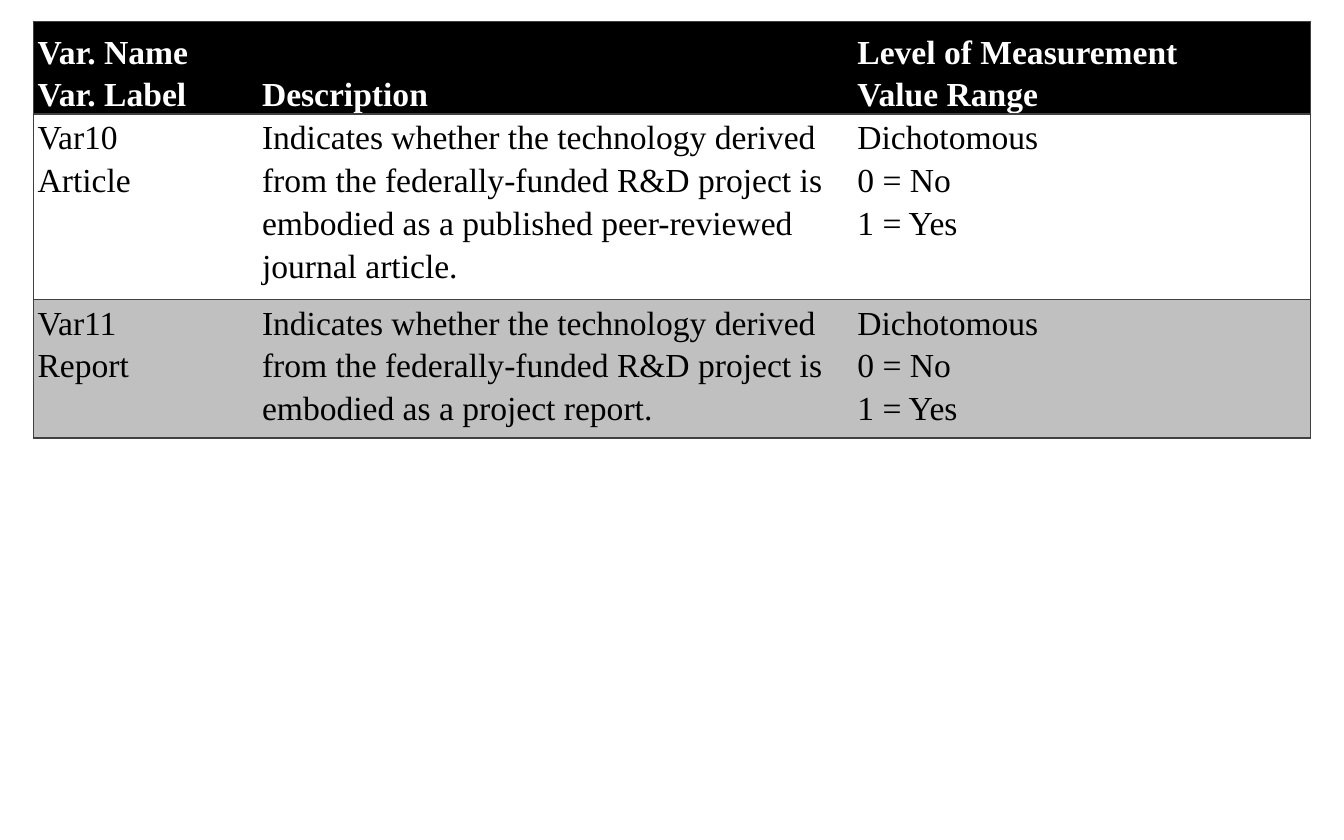
from lxml.etree import SubElement
from pptx import Presentation
from pptx.dml.color import RGBColor
from pptx.enum.text import MSO_ANCHOR as Anchor
from pptx.oxml.ns import qn
from pptx.util import Inches, Pt

FONT = "Times New Roman"
COLS = [1.67, 4.43, 3.4]
HEIGHTS = [0.69, 1.38, 1.03]
FILLS = ["000000", None, "C0C0C0"]
SCALE = "Dichotomous\n0 = No\n1 = Yes"
STEM = ("Indicates whether the technology derived from the "
        "federally-funded R&D project is embodied as a ")
ROWS = [
    ["Var. Name\nVar. Label", "Description", "Level of Measurement\nValue Range"],
    ["Var10\nArticle", STEM + "published peer-reviewed journal article.", SCALE],
    ["Var11\nReport", STEM + "project report.", SCALE],
]


def color(code):
    """Turn a hex string into a colour."""
    return RGBColor.from_string(code)


def add_edges(cell, shown):
    """Draw the shown sides of a cell and hide the others."""
    props = cell._tc.get_or_add_tcPr()
    for side in "LRTB":
        line = SubElement(props, qn(f"a:ln{side}"), w=str(Pt(1)))
        if side in shown:
            fill = SubElement(line, qn("a:solidFill"))
            SubElement(fill, qn("a:srgbClr"), val="404040")
        else:
            SubElement(line, qn("a:noFill"))


def fill_cell(cell, text, fill, head, edges):
    """Set the text, borders and fill of one cell."""
    cell.margin_left = cell.margin_right = Inches(0.03)
    cell.margin_top = cell.margin_bottom = 0
    cell.vertical_anchor = Anchor.BOTTOM if head else Anchor.TOP
    add_edges(cell, edges)
    if fill:
        cell.fill.solid()
        cell.fill.fore_color.rgb = color(fill)
    else:
        cell.fill.background()
    cell.text_frame.text = text
    for para in cell.text_frame.paragraphs:
        para.line_spacing = 1.15
        for run in para.runs:
            font = run.font
            font.name, font.size, font.bold = FONT, Pt(18), head
            font.color.rgb = color("FFFFFF" if head else "000000")


def add_codebook(slide, left, top, width, height):
    """Place the table of variables in the given box."""
    frame = slide.shapes.add_table(len(ROWS), len(COLS), Inches(left), Inches(top),
                                   Inches(width), Inches(height))
    table = frame.table
    table.horz_banding = False
    for col, size in zip(table.columns, COLS):
        col.width = Inches(width * size / sum(COLS))
    for row, size in zip(table.rows, HEIGHTS):
        row.height = Inches(height * size / sum(HEIGHTS))
    sides = ["LTB", "TB", "RTB"]
    for r, (texts, fill) in enumerate(zip(ROWS, FILLS)):
        for c, (text, edges) in enumerate(zip(texts, sides)):
            fill_cell(table.cell(r, c), text, fill, r == 0, edges)


def main():
    """Build and save the slide."""
    deck = Presentation()
    deck.slide_width, deck.slide_height = Inches(10), Inches(6.25)
    slide = deck.slides.add_slide(deck.slide_layouts[6])
    add_codebook(slide, 0.25, 0.16, 9.5, 3.1)
    deck.save("out.pptx")


if __name__ == "__main__":
    main()
